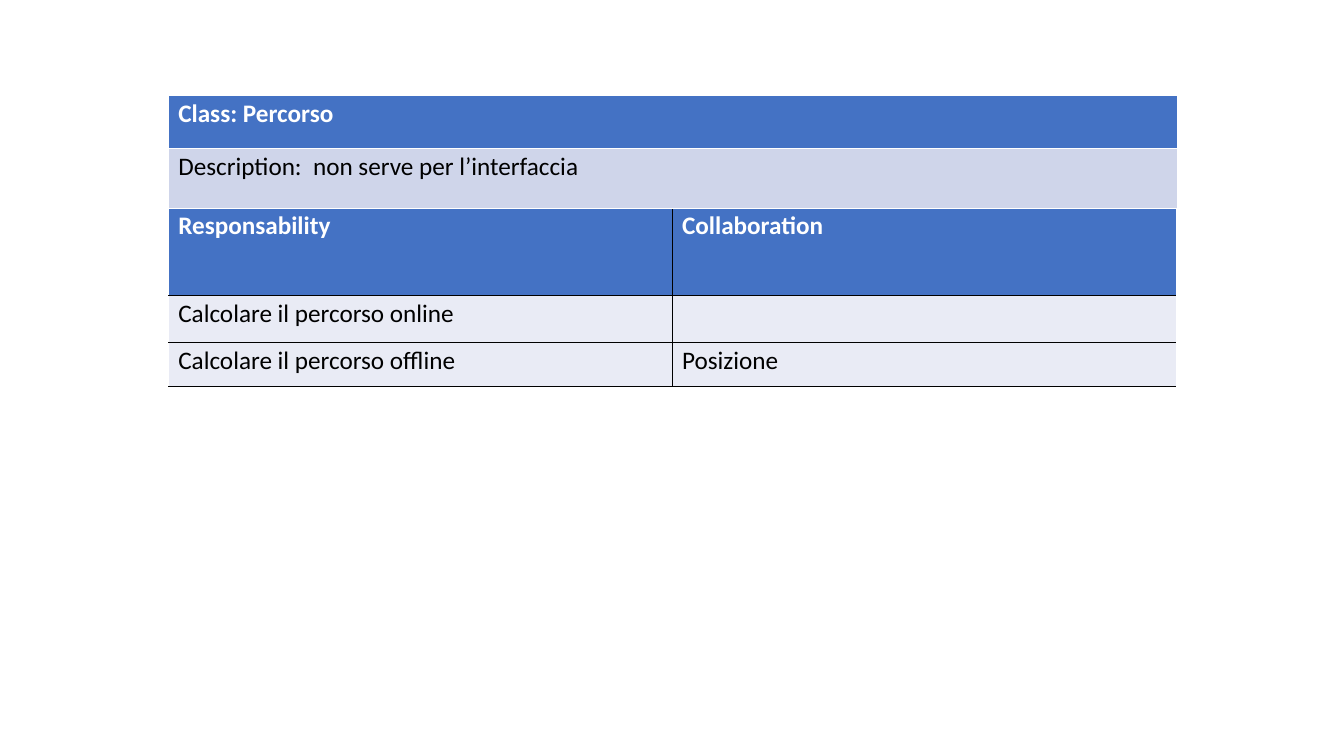
from lxml import etree
from pptx import Presentation
from pptx.dml.color import RGBColor
from pptx.oxml.ns import qn
from pptx.util import Emu, Pt

EMU_PER_PX = 9144
BLANK_LAYOUT = 6
WHITE = RGBColor(0xFF, 0xFF, 0xFF)
BLACK = RGBColor(0x00, 0x00, 0x00)
BLUE = RGBColor(0x44, 0x72, 0xC4)
LAVENDER = RGBColor(0xCF, 0xD5, 0xEA)
PALE = RGBColor(0xE9, 0xEB, 0xF5)


def px(length):
    return Emu(length * EMU_PER_PX)


def write_text(cell, text, font_name="Calibri", size=18, color=BLACK, bold=False):
    paragraph = cell.text_frame.paragraphs[0]
    paragraph.line_spacing = 0.92
    paragraph.font.size = Pt(size)
    if not text:
        return
    run = paragraph.add_run()
    run.text = text
    run.font.name = font_name
    run.font.size = Pt(size)
    run.font.bold = bold
    run.font.color.rgb = color


class CardSlide:
    border_width = Pt(0.06)

    def __init__(self, presentation):
        self.slide = presentation.slides.add_slide(presentation.slide_layouts[BLANK_LAYOUT])

    def border(self, cell, side, color):
        properties = cell._tc.get_or_add_tcPr()
        line = etree.SubElement(properties, qn(f"a:ln{side}"), w=str(self.border_width))
        fill = etree.SubElement(line, qn("a:solidFill"))
        etree.SubElement(fill, qn("a:srgbClr"), val=str(color))

    def table(self, left, top, widths, heights, rows, body_fill, inner_line):
        frame = self.slide.shapes.add_table(
            len(heights), len(widths), px(left), px(top), px(sum(widths)), px(sum(heights)))
        table = frame.table
        for column, width in zip(table.columns, widths):
            column.width = px(width)
        for row, height in zip(table.rows, heights):
            row.height = px(height)
        last_column = len(widths) - 1
        for row_index, texts in enumerate(rows):
            header = row_index == 0
            for column_index, text in enumerate(texts):
                cell = table.cell(row_index, column_index)
                self.border(cell, "L", WHITE if column_index == 0 else inner_line)
                self.border(cell, "R", WHITE if column_index == last_column else inner_line)
                self.border(cell, "T", WHITE if header else inner_line)
                self.border(cell, "B", inner_line)
                cell.fill.solid()
                cell.fill.fore_color.rgb = BLUE if header else body_fill
                write_text(cell, text, color=WHITE if header else BLACK, bold=header)


def main():
    presentation = Presentation()
    presentation.slide_width = px(1334)
    presentation.slide_height = px(750)
    card = CardSlide(presentation)
    card.table(167, 205, [500, 500], [88, 46, 44], [
        ["Responsability", "Collaboration"],
        ["Calcolare il percorso online", ""],
        ["Calcolare il percorso offline", "Posizione"],
    ], body_fill=PALE, inner_line=BLACK)
    card.table(167, 94, [1001], [53, 59], [
        ["Class: Percorso"],
        ["Description:  non serve per l’interfaccia"],
    ], body_fill=LAVENDER, inner_line=WHITE)
    presentation.save("out.pptx")


if __name__ == "__main__":
    main()
